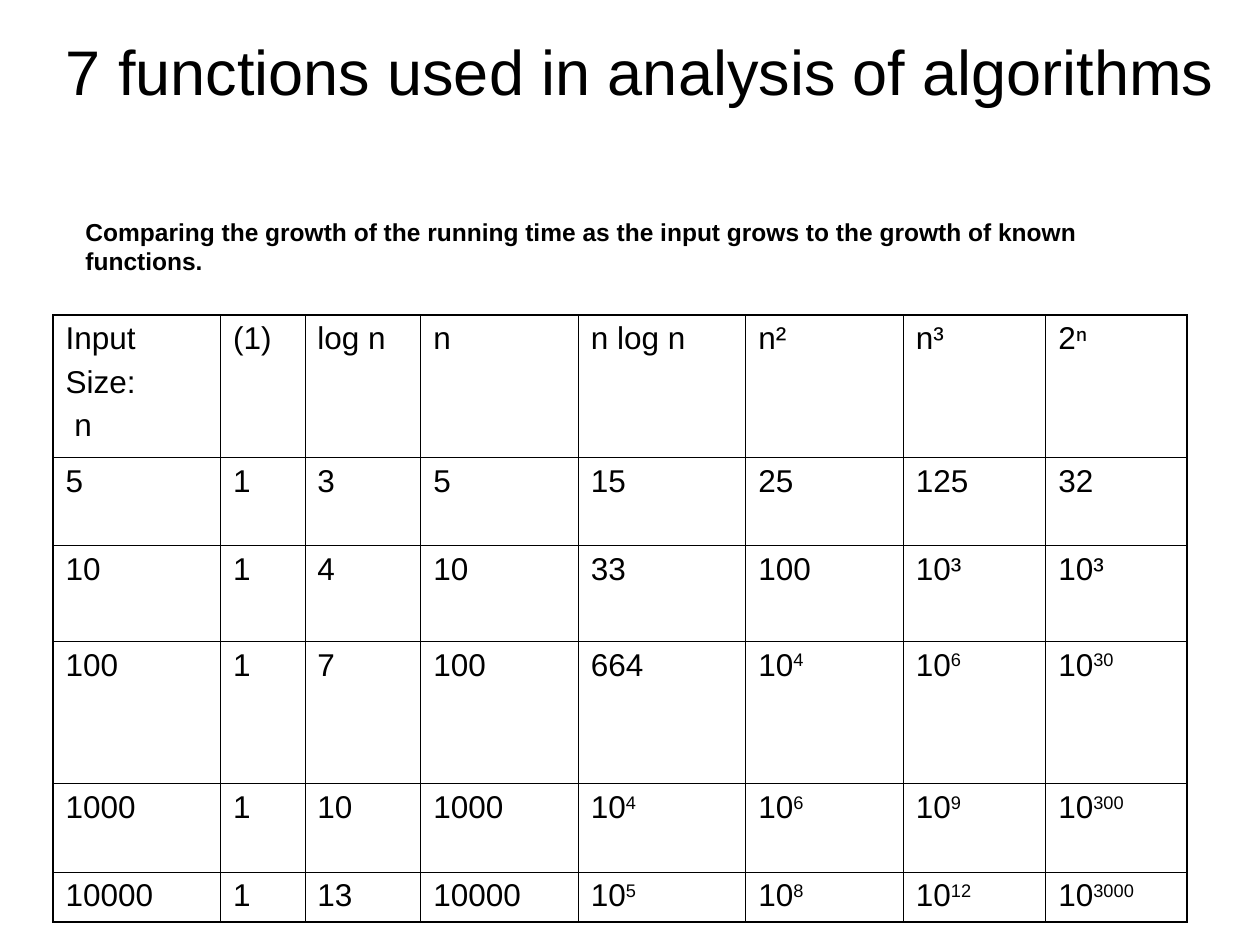
from typing import NamedTuple

from lxml import etree
from pptx import Presentation
from pptx.dml.color import RGBColor
from pptx.enum.text import MSO_ANCHOR, MSO_AUTO_SIZE, PP_ALIGN
from pptx.oxml.ns import qn
from pptx.util import Inches, Pt

LEFT = PP_ALIGN.LEFT
TOP = MSO_ANCHOR.TOP
MIDDLE = MSO_ANCHOR.MIDDLE
NO_AUTOFIT = MSO_AUTO_SIZE.NONE

BLACK = RGBColor(0x00, 0x00, 0x00)
FONT = "Arial"
TITLE_ONLY = 5
INNER_LINE = Pt(0.45)
OUTER_LINE = Pt(1.08)


class Box(NamedTuple):
    left: float
    top: float
    width: float
    height: float

    def lengths(self):
        return [Inches(value) for value in self]


class Column(NamedTuple):
    header: str
    width: float
    values: tuple[str, ...]


TITLE_BOX = Box(0.42, 0.17, 10.42, 0.78)
SUMMARY_BOX = Box(0.58, 1.67, 8.67, 0.92)
TABLE_BOX = Box(0.42, 2.5, 9, 4.82)
ROW_HEIGHTS = (1.13, 0.7, 0.76, 1.13, 0.7, 0.4)

# A caret starts a superscript; a line break starts a paragraph.
COLUMNS = (
    Column("Input\nSize:\n n", 1.33, ("5", "10", "100", "1000", "10000")),
    Column("(1)", 0.67, ("1",) * 5),
    Column("log n", 0.92, ("3", "4", "7", "10", "13")),
    Column("n", 1.25, ("5", "10", "100", "1000", "10000")),
    Column("n log n", 1.33, ("15", "33", "664", "10^4", "10^5")),
    Column("n²", 1.25, ("25", "100", "10^4", "10^6", "10^8")),
    Column("n³", 1.13, ("125", "10³", "10^6", "10^9", "10^12")),
    Column("2ⁿ", 1.12, ("32", "10³", "10^30", "10^300", "10^3000")),
)


def write_text(text_frame, text: str, *, size: float, bold: bool = False,
               space_before: float = 0, anchor=None) -> None:
    """Fill a text frame, raising whatever follows a caret."""
    text_frame.word_wrap = True
    if anchor is not None:
        text_frame.vertical_anchor = anchor
    for index, line in enumerate(text.split("\n")):
        paragraph = text_frame.paragraphs[0] if index == 0 else text_frame.add_paragraph()
        paragraph.alignment = LEFT
        paragraph.space_before = Pt(space_before)
        for part_index, part in enumerate(line.split("^")):
            run = paragraph.add_run()
            run.text = part
            run.font.name = FONT
            run.font.size = Pt(size)
            run.font.bold = bold
            run.font.color.rgb = BLACK
            if part_index > 0:
                run._r.get_or_add_rPr().set("baseline", "30000")


def set_borders(cell, widths: dict[str, int]) -> None:
    """Draw cell borders; widths maps L, R, T and B, in that order."""
    properties = cell._tc.get_or_add_tcPr()
    for index, (side, width) in enumerate(widths.items()):
        line = etree.Element(qn(f"a:ln{side}"), w=str(width))
        fill = etree.SubElement(line, qn("a:solidFill"))
        etree.SubElement(fill, qn("a:srgbClr"), val=str(BLACK))
        properties.insert(index, line)


def add_growth_table(slide) -> None:
    last_row, last_column = len(ROW_HEIGHTS) - 1, len(COLUMNS) - 1
    table = slide.shapes.add_table(
        last_row + 1, last_column + 1, *TABLE_BOX.lengths()).table
    table.first_row = False
    table.horz_banding = False
    for row, height in zip(table.rows, ROW_HEIGHTS):
        row.height = Inches(height)
    for column_index, column in enumerate(COLUMNS):
        table.columns[column_index].width = Inches(column.width)
        for row_index, text in enumerate((column.header, *column.values)):
            cell = table.cell(row_index, column_index)
            cell.fill.background()
            write_text(cell.text_frame, text, size=18, space_before=4.5)
            outer_sides = {
                "L": column_index == 0,
                "R": column_index == last_column,
                "T": row_index == 0,
                "B": row_index == last_row,
            }
            set_borders(cell, {side: OUTER_LINE if outer else INNER_LINE
                               for side, outer in outer_sides.items()})


def main() -> None:
    presentation = Presentation()
    presentation.slide_width = Inches(10)
    presentation.slide_height = Inches(7.5)
    slide = presentation.slides.add_slide(presentation.slide_layouts[TITLE_ONLY])

    title = slide.shapes.title
    title.left, title.top, title.width, title.height = TITLE_BOX.lengths()
    title.text_frame.auto_size = NO_AUTOFIT
    write_text(title.text_frame, "7 functions used in analysis of algorithms",
               size=36, anchor=MIDDLE)

    add_growth_table(slide)

    summary = slide.shapes.add_textbox(*SUMMARY_BOX.lengths())
    write_text(summary.text_frame,
               "Comparing the growth of the running time as the input grows "
               "to the growth of known functions.",
               size=14, bold=True, space_before=8.8, anchor=TOP)

    presentation.save("out.pptx")


if __name__ == "__main__":
    main()
